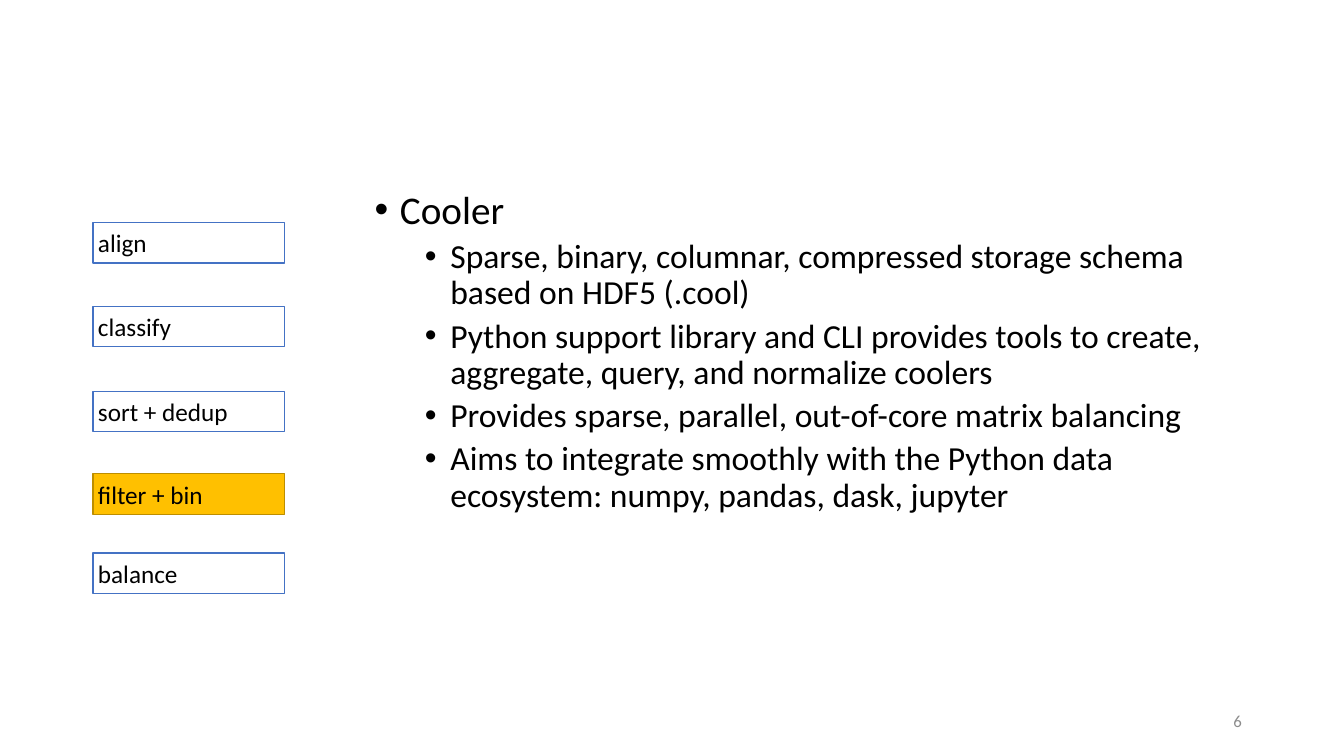
from pptx import Presentation
from pptx import util as u
from pptx.dml.color import RGBColor
from pptx.enum import shapes, text
from pptx.oxml import parse_xml
from pptx.oxml.ns import nsdecls

BLACK = RGBColor(0x00, 0x00, 0x00)
WHITE = RGBColor(0xFF, 0xFF, 0xFF)
GRAY = RGBColor(0x8C, 0x8C, 0x8C)
BLUE = RGBColor(0x44, 0x72, 0xC4)
AMBER = RGBColor(0xFF, 0xC0, 0x00)
DARK_AMBER = RGBColor(0xBD, 0x8E, 0x00)

# Pipeline steps: label and offset from the top of the column in cm
STEPS = [
    ("align", 0),
    ("classify", 2.11),
    ("sort + dedup", 4.25),
    ("filter + bin", 6.33),
    ("balance", 8.33),
]
CURRENT_STEP = "filter + bin"
TOPIC = "Cooler"
POINTS = [
    "Sparse, binary, columnar, compressed storage schema based on HDF5 (.cool)",
    "Python support library and CLI provides tools to create, aggregate, query, and normalize coolers",
    "Provides sparse, parallel, out-of-core matrix balancing",
    "Aims to integrate smoothly with the Python data ecosystem: numpy, pandas, dask, jupyter",
]


def write(para, words, size, color=BLACK, align=text.PP_ALIGN.LEFT,
          bullet_indent=None, before=0, spacing=None):
    """Fill a paragraph; bullet_indent is the text indent in cm."""
    if bullet_indent is not None:
        properties = para._p.get_or_add_pPr()
        properties.set("marL", str(u.Cm(bullet_indent)))
        properties.set("indent", str(-u.Cm(0.64)))
        properties.append(parse_xml(f'<a:buFont {nsdecls("a")} typeface="Arial"/>'))
        properties.append(parse_xml(f'<a:buChar {nsdecls("a")} char="•"/>'))
    para.alignment = align
    para.space_before = u.Pt(before)
    if spacing:
        para.line_spacing = spacing
    span = para.add_run()
    span.text = words
    span.font.name = "Calibri"
    span.font.size = u.Pt(size)
    span.font.color.rgb = color


def add_steps(page, left, top, width, height):
    """Column of pipeline steps with the current one highlighted."""
    for label, offset in STEPS:
        current = label == CURRENT_STEP
        box = page.shapes.add_shape(
            shapes.MSO_SHAPE.RECTANGLE,
            u.Cm(left), u.Cm(top + offset), u.Cm(width), u.Cm(height))
        box.shadow.inherit = False
        box.fill.solid()
        box.fill.fore_color.rgb = AMBER if current else WHITE
        box.line.color.rgb = DARK_AMBER if current else BLUE
        box.line.width = u.Pt(1)
        frame = box.text_frame
        frame.vertical_anchor = text.MSO_ANCHOR.MIDDLE
        frame.margin_left = frame.margin_right = u.Cm(0.13)
        frame.margin_top = frame.margin_bottom = u.Cm(0.13)
        write(frame.paragraphs[0], label, 18)


def add_text_frame(page, left, top, width, height):
    box = page.shapes.add_textbox(u.Cm(left), u.Cm(top), u.Cm(width), u.Cm(height))
    box.text_frame.word_wrap = True
    return box.text_frame


def add_body(page, left, top, width, height):
    """Topic with its bulleted points."""
    frame = add_text_frame(page, left, top, width, height)
    write(frame.paragraphs[0], TOPIC, 28, bullet_indent=0.64, spacing=0.9)
    for point in POINTS:
        para = frame.add_paragraph()
        para.level = 1
        write(para, point, 24, bullet_indent=1.91, before=5, spacing=0.9)


def add_page_number(page, left, top, width, height):
    frame = add_text_frame(page, left, top, width, height)
    frame.vertical_anchor = text.MSO_ANCHOR.MIDDLE
    write(frame.paragraphs[0], "6", 12, color=GRAY, align=text.PP_ALIGN.RIGHT)


def main():
    deck = Presentation()
    deck.slide_width, deck.slide_height = u.Cm(33.87), u.Cm(19.05)
    page = deck.slides.add_slide(deck.slide_layouts[6])
    add_page_number(page, 23.93, 17.65, 7.62, 1.02)
    add_steps(page, 2.34, 5.61, 4.83, 1.02)
    add_body(page, 9.19, 4.67, 22.35, 12.7)
    deck.save("out.pptx")


if __name__ == "__main__":
    main()
